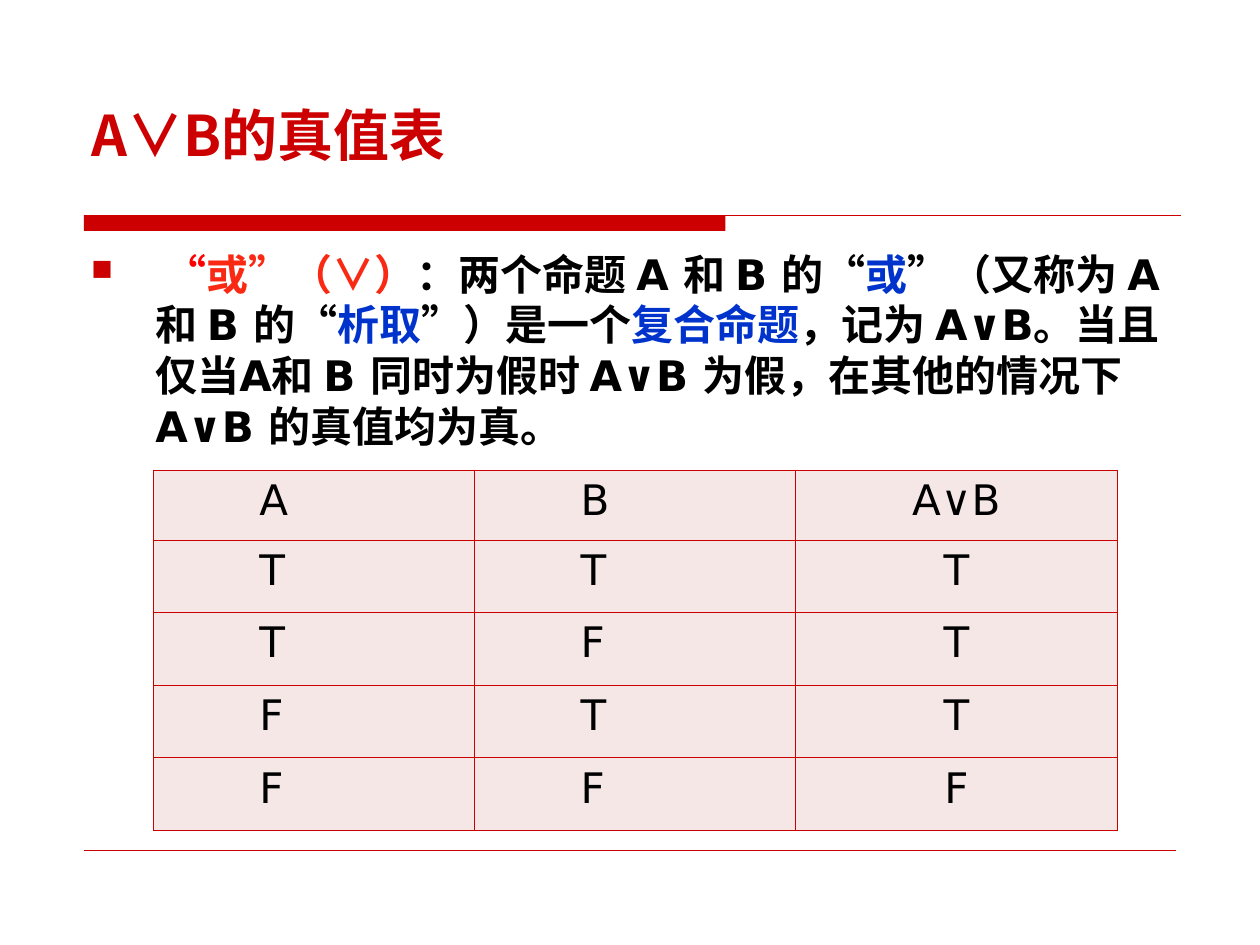
from lxml import etree
from pptx import Presentation
from pptx.dml.color import RGBColor
from pptx.enum import shapes, text
from pptx.oxml.ns import qn
from pptx.util import Pt

COLORS = {"red": "CC0000", "bright": "F92913", "quote": "FF0000",
          "blue": "0033CC", "black": "000000", "cell": "F6E7E7"}
LATIN, CHINESE = "DejaVu Sans", "Noto Sans CJK SC"

TITLE = "A∨B的真值表"
DEFINITION = [
    (" ", "bright"), ("“", "quote"), ("或”（∨）", "bright"),
    ("：两个命题 A 和 B 的“", "black"), ("或", "blue"),
    ("”（又称为 A 和 B 的“", "black"), ("析取", "blue"),
    ("”）是一个", "black"), ("复合命题", "blue"),
    ("，记为 A∨B。当且仅当A和 B 同时为假时 A∨B 为假，"
     "在其他的情况下 A∨B 的真值均为真。", "black"),
]
TRUTH_TABLE = [("A", "B", "A∨B"), ("T", "T", "T"), ("T", "F", "T"),
               ("F", "T", "T"), ("F", "F", "F")]
ROW_HEIGHTS = [40, 41.5, 41.5, 41.5, 41.5]
COLUMN_WIDTH = 183.5
INPUT_INDENT = 60.5
RULE_LEFT, RULE_TOP = 48, 123


def rgb(name):
    return RGBColor.from_string(COLORS[name])


def add(parent, tag, **attributes):
    return etree.SubElement(parent, qn(tag), attributes)


def set_font(para, size, color, bold=False, latin=LATIN):
    font = para.font
    font.name, font.size, font.bold = latin, Pt(size), bold
    font.color.rgb = rgb(color)
    add(font._element, "a:ea", typeface=CHINESE)


def add_rule(slide, y, right, width):
    rule = slide.shapes.add_connector(
        shapes.MSO_CONNECTOR.STRAIGHT, Pt(RULE_LEFT), Pt(y), Pt(right), Pt(y))
    rule.line.color.rgb = rgb("red")
    rule.line.width = Pt(width)
    add(rule._element.spPr, "a:effectLst")


def add_borders(cell):
    properties = cell._tc.get_or_add_tcPr()
    for index, side in enumerate(("a:lnL", "a:lnR", "a:lnT", "a:lnB")):
        border = etree.Element(qn(side), w=str(Pt(0.45)))
        add(add(border, "a:solidFill"), "a:srgbClr", val=COLORS["red"])
        properties.insert(index, border)


deck = Presentation()
deck.slide_width, deck.slide_height = Pt(720), Pt(540)
slide = deck.slides.add_slide(deck.slide_layouts[5])

# Rules above and below the content
bar = slide.shapes.add_shape(shapes.MSO_SHAPE.RECTANGLE,
                             Pt(RULE_LEFT), Pt(RULE_TOP), Pt(366.5), Pt(9))
bar.shadow.inherit = False
bar.fill.solid()
bar.fill.fore_color.rgb = rgb("red")
bar.line.fill.background()
add_rule(slide, RULE_TOP, 675, 0.75)
add_rule(slide, 486, 672, 0.25)

# Title
title = slide.shapes.title
title.left, title.top, title.width, title.height = Pt(45), Pt(24), Pt(630), Pt(75.5)
frame = title.text_frame
frame.text = TITLE
frame.auto_size = text.MSO_AUTO_SIZE.NONE
frame.vertical_anchor = text.MSO_ANCHOR.BOTTOM
para = frame.paragraphs[0]
para.alignment = text.PP_ALIGN.LEFT
set_font(para, 32, "red", bold=True, latin=CHINESE)

# Definition with a square bullet
box = slide.shapes.add_textbox(Pt(45), Pt(138), Pt(630), Pt(336))
box.text_frame.word_wrap = True
para = box.text_frame.paragraphs[0]
para.line_spacing = Pt(29)
properties = para._p.get_or_add_pPr()
properties.set("marL", str(Pt(36.7)))
properties.set("indent", str(-Pt(36.7)))
add(add(properties, "a:buClr"), "a:srgbClr", val=COLORS["red"])
add(properties, "a:buSzPct", val="70000")
add(properties, "a:buChar", char="■")
set_font(para, 24, "black", bold=True)
for words, color in DEFINITION:
    span = para.add_run()
    span.text = words
    span.font.color.rgb = rgb(color)

# Truth table
columns = len(TRUTH_TABLE[0])
frame = slide.shapes.add_table(len(TRUTH_TABLE), columns, Pt(87.75), Pt(268.5),
                               Pt(COLUMN_WIDTH * columns), Pt(sum(ROW_HEIGHTS)))
table = frame.table
for column in table.columns:
    column.width = Pt(COLUMN_WIDTH)
for row, height, values in zip(table.rows, ROW_HEIGHTS, TRUTH_TABLE):
    row.height = Pt(height)
    for index, (cell, value) in enumerate(zip(row.cells, values)):
        cell.text = value
        cell.fill.solid()
        cell.fill.fore_color.rgb = rgb("cell")
        add_borders(cell)
        para = cell.text_frame.paragraphs[0]
        if index == columns - 1:
            para.alignment = text.PP_ALIGN.CENTER
        else:
            cell.margin_left = Pt(INPUT_INDENT)
        set_font(para, 24, "black")

deck.save("out.pptx")
